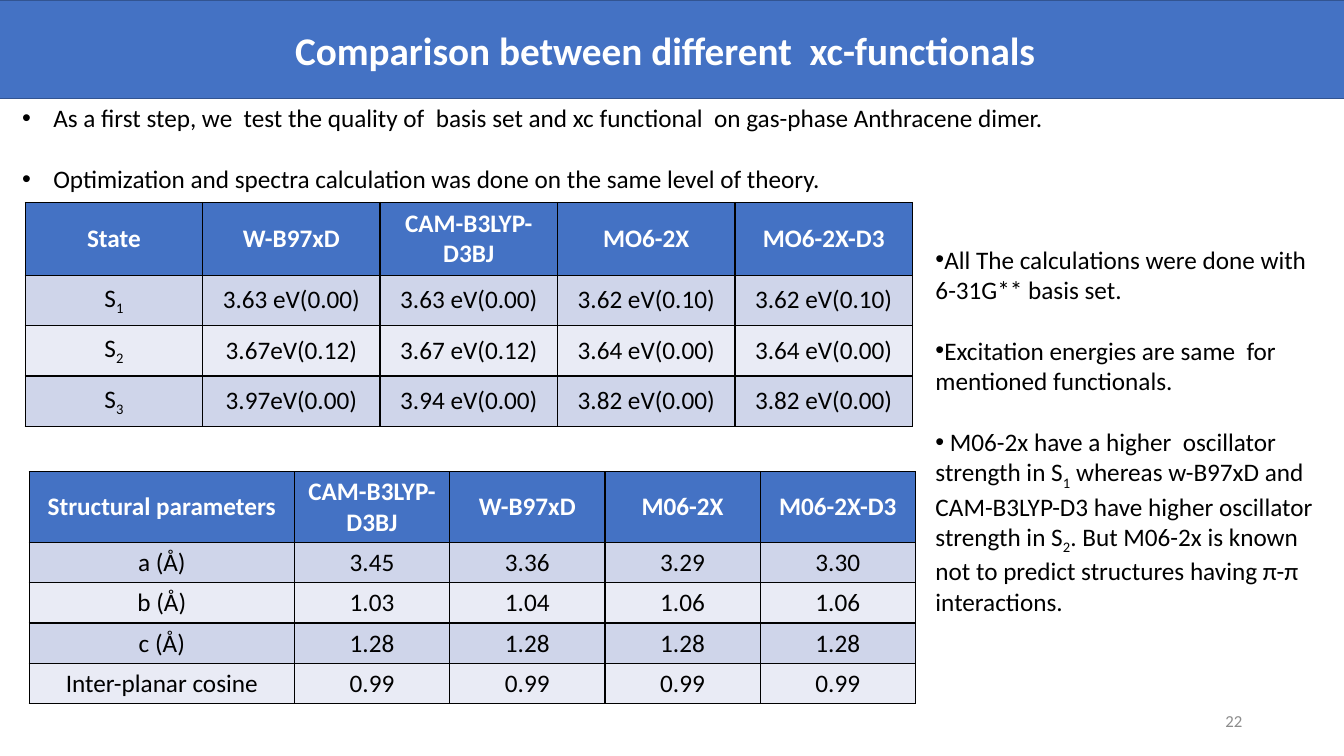
from lxml import etree
from pptx import Presentation
from pptx.dml.color import RGBColor
from pptx.enum.shapes import MSO_SHAPE
from pptx.enum.text import MSO_ANCHOR, PP_ALIGN
from pptx.oxml.ns import qn
from pptx.util import Inches, Pt

COLORS = {
    "blue": "4472C4", "edge": "325491", "white": "FFFFFF", "black": "000000",
    "odd": "CFD5EA", "even": "E9EBF5", "gray": "8C8C8C",
}
COLOR = {name: RGBColor.from_string(value) for name, value in COLORS.items()}


def write(paragraph, text, size=18, color="black", bold=False, align=PP_ALIGN.LEFT):
    paragraph.alignment = align
    for index, part in enumerate(text.split("~")):
        run = paragraph.add_run()
        run.text = part
        run.font.name = "Calibri"
        run.font.size = Pt(size)
        run.font.bold = bold
        run.font.color.rgb = COLOR[color]
        if index % 2:
            run._r.get_or_add_rPr().set("baseline", "-25000")


def write_bullets(text_frame, texts, indent):
    text_frame.word_wrap = True
    text_frame.vertical_anchor = MSO_ANCHOR.TOP
    for index, text in enumerate(texts):
        paragraph = text_frame.add_paragraph() if index else text_frame.paragraphs[0]
        properties = paragraph._p.get_or_add_pPr()
        properties.set("marL", str(Inches(indent)))
        properties.set("indent", str(-Inches(indent)))
        etree.SubElement(properties, qn("a:buFont")).set("typeface", "Arial")
        etree.SubElement(properties, qn("a:buChar")).set("char", "•")
        if index:
            paragraph.space_before = Pt(22)
        write(paragraph, text)


presentation = Presentation()
presentation.slide_width = Inches(13.33)
presentation.slide_height = Inches(7.5)
slide = presentation.slides.add_slide(presentation.slide_layouts[6])
shapes = slide.shapes

intro = shapes.add_textbox(Inches(0.12), Inches(0.97), Inches(12.65), Inches(1.01))
write_bullets(intro.text_frame, [
    "As a first step, we  test the quality of  basis set and xc functional  on gas-phase Anthracene dimer.",
    "Optimization and spectra calculation was done on the same level of theory.",
], 0.31)

banner = shapes.add_shape(MSO_SHAPE.RECTANGLE, Inches(-0.06), 0, Inches(13.4), Inches(0.98))
banner.shadow.inherit = False
banner.fill.solid()
banner.fill.fore_color.rgb = COLOR["blue"]
banner.line.color.rgb = COLOR["edge"]
banner.line.width = Pt(1)
banner.text_frame.vertical_anchor = MSO_ANCHOR.MIDDLE
write(banner.text_frame.paragraphs[0], "Comparison between different  xc-functionals ",
      28, "white", True, PP_ALIGN.CENTER)

energies = [
    ["State", "W-B97xD", "CAM-B3LYP-D3BJ", "MO6-2X", "MO6-2X-D3"],
    ["S~1", "3.63 eV(0.00)", "3.63 eV(0.00)", "3.62 eV(0.10)", "3.62 eV(0.10)"],
    ["S~2", "3.67eV(0.12)", "3.67 eV(0.12)", "3.64 eV(0.00)", "3.64 eV(0.00)"],
    ["S~3", "3.97eV(0.00)", "3.94 eV(0.00)", "3.82 eV(0.00)", "3.82 eV(0.00)"],
]
structures = [
    ["Structural parameters", "CAM-B3LYP-D3BJ", "W-B97xD", "M06-2X", "M06-2X-D3"],
    ["a (Å)", "3.45", "3.36", "3.29", "3.30"],
    ["b (Å)", "1.03", "1.04", "1.06", "1.06"],
    ["c (Å)", "1.28", "1.28", "1.28", "1.28"],
    ["Inter-planar cosine", "0.99", "0.99", "0.99", "0.99"],
]
tables = [
    (energies, 0.25, 2.01, 1.76, 1.76, 0.72, 0.5),
    (structures, 0.29, 4.68, 2.63, 1.54, 0.7, 0.4),
]
for rows, left, top, first_width, width, header_height, row_height in tables:
    total_width = first_width + 4 * width
    total_height = header_height + (len(rows) - 1) * row_height
    table = shapes.add_table(len(rows), 5, Inches(left), Inches(top),
                             Inches(total_width), Inches(total_height)).table
    for index, column in enumerate(table.columns):
        column.width = Inches(width if index else first_width)
    for row_index, texts in enumerate(rows):
        header = row_index == 0
        table.rows[row_index].height = Inches(header_height if header else row_height)
        fill = "blue" if header else "odd" if row_index % 2 else "even"
        for column_index, text in enumerate(texts):
            cell = table.cell(row_index, column_index)
            cell.vertical_anchor = MSO_ANCHOR.MIDDLE
            write(cell.text_frame.paragraphs[0], text, 18,
                  "white" if header else "black", header, PP_ALIGN.CENTER)
            properties = cell._tc.get_or_add_tcPr()
            for side in ("lnL", "lnR", "lnT", "lnB"):
                border = etree.SubElement(properties, qn(f"a:{side}"), w=str(Pt(1)))
                line_fill = etree.SubElement(border, qn("a:solidFill"))
                etree.SubElement(line_fill, qn("a:srgbClr"), val=COLORS["black"])
            cell.fill.solid()
            cell.fill.fore_color.rgb = COLOR[fill]

number = shapes.add_textbox(Inches(9.42), Inches(6.95), Inches(3), Inches(0.4))
number.text_frame.word_wrap = True
number.text_frame.vertical_anchor = MSO_ANCHOR.MIDDLE
write(number.text_frame.paragraphs[0], "22", 12, "gray", align=PP_ALIGN.RIGHT)

remarks = shapes.add_shape(MSO_SHAPE.RECTANGLE, Inches(9.18), Inches(2.37), Inches(4.08), Inches(4.04))
remarks.shadow.inherit = False
remarks.fill.solid()
remarks.fill.fore_color.rgb = COLOR["white"]
remarks.line.fill.background()
write_bullets(remarks.text_frame, [
    "All The calculations were done with 6-31G** basis set.",
    "Excitation energies are same  for mentioned functionals.",
    " M06-2x have a higher  oscillator strength in S~1~ whereas w-B97xD and "
    "CAM-B3LYP-D3 have higher oscillator strength in S~2~. But M06-2x is known "
    "not to predict structures having π-π interactions.",
], 0)

presentation.save("out.pptx")
